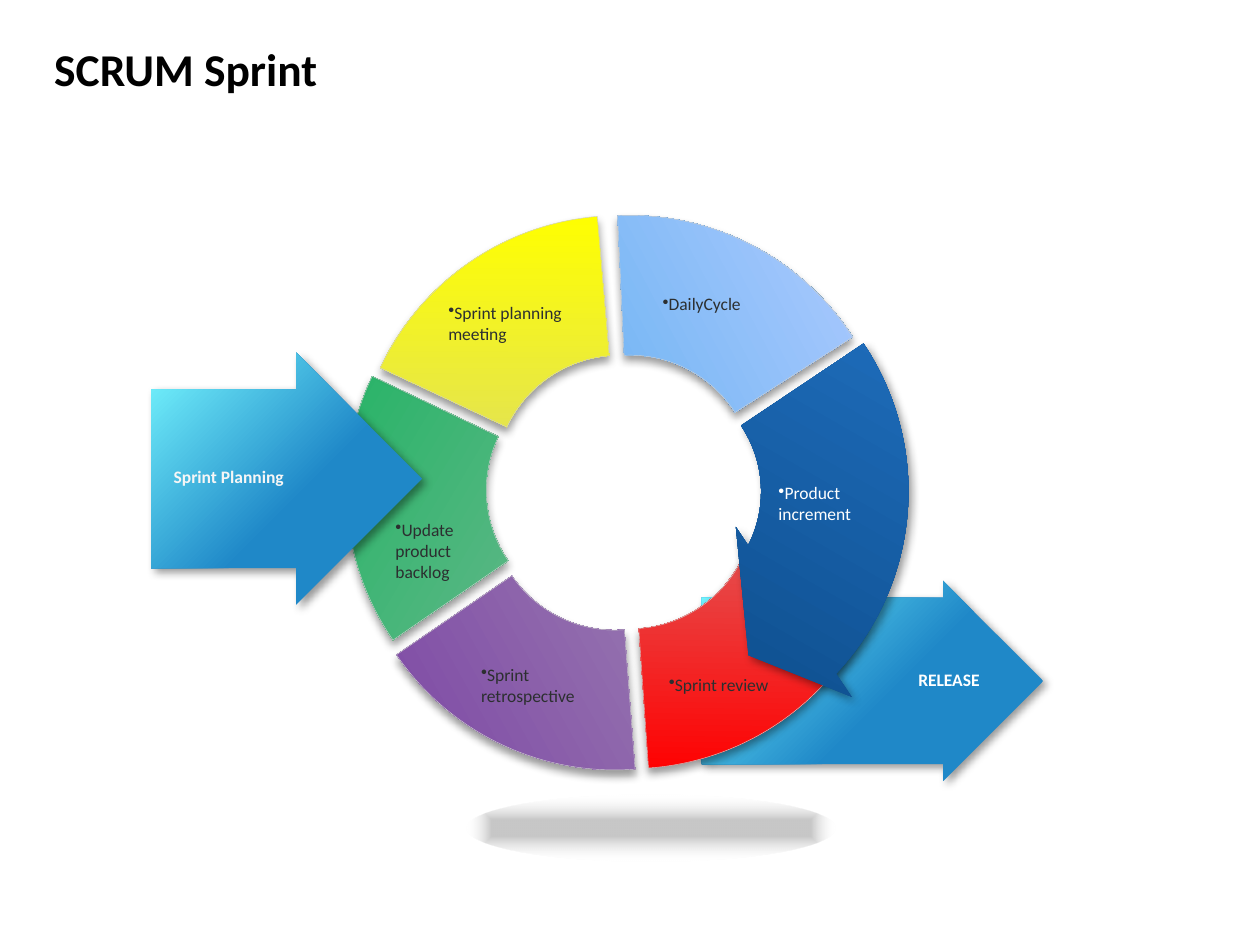
"""Build the SCRUM Sprint cycle slide."""
import math

import pptx
import pptx.dml.color
import pptx.enum.shapes
import pptx.enum.text
import pptx.oxml
import pptx.oxml.ns
import pptx.util

Inches = pptx.util.Inches
RGBColor = pptx.dml.color.RGBColor
SHAPES = pptx.enum.shapes.MSO_SHAPE
qn = pptx.oxml.ns.qn
NAMESPACE = pptx.oxml.ns.nsdecls("a")

COLORS = {
    "black": "000000", "white": "FFFFFF", "ink": "2C2F30", "pale": "F6F6F6",
    "outline": "CFCFCF", "gray": "BFBFBF", "arrow": "1F88C8", "cyan": "78F8FF",
    "red": "FF0000", "purple": "7030A0", "green": "00B050", "yellow": "FFFF00",
    "deep": "0C4F8E", "sky": "77B7F4", "soft sky": "B1CBFF",
    "navy": "0F5090", "blue": "2070C0",
}


def style(shape, stops, direction, shadow_angle=None):
    """Give a shape a gradient and, with an angle, a soft shadow."""
    shape.line.fill.background()
    shape.fill.background()
    shape.shadow.inherit = False
    stop_xml = "".join(
        f'<a:gs pos="{position * 1000}"><a:srgbClr val="{COLORS[color]}">'
        f'<a:alpha val="{opacity * 1000}"/></a:srgbClr></a:gs>'
        for position, color, opacity in stops)
    if direction is None:
        course = ('<a:path path="shape"><a:fillToRect l="50000" t="50000" '
                  'r="50000" b="50000"/></a:path>')
    else:
        course = f'<a:lin ang="{direction * 60000}" scaled="0"/>'
    gradient = pptx.oxml.parse_xml(
        f'<a:gradFill {NAMESPACE} rotWithShape="1"><a:gsLst>{stop_xml}</a:gsLst>{course}</a:gradFill>')
    properties = shape._element.spPr
    properties.replace(properties.find(qn("a:noFill")), gradient)
    if shadow_angle is not None:
        properties.find(qn("a:effectLst")).append(pptx.oxml.parse_xml(
            f'<a:outerShdw {NAMESPACE} blurRad="{pptx.util.Pt(5)}" dist="{pptx.util.Pt(3)}" '
            f'dir="{shadow_angle * 60000}" algn="ctr" rotWithShape="0">'
            f'<a:srgbClr val="{COLORS["black"]}"><a:alpha val="40000"/></a:srgbClr></a:outerShdw>'))


def arc(radius, start, end):
    """Return the four Bezier points of an arc around the origin."""
    first, last = math.radians(start), math.radians(end)
    pull = 4 / 3 * math.tan((last - first) / 4)
    corners = [(radius * math.cos(angle), radius * math.sin(angle)) for angle in (first, last)]
    (x1, y1), (x2, y2) = corners
    return [(x1, y1), (x1 - pull * y1, y1 + pull * x1), (x2 + pull * y2, y2 - pull * x2), (x2, y2)]


deck = pptx.Presentation()
deck.slide_width, deck.slide_height = Inches(10), Inches(7.5)
page = deck.slides.add_slide(deck.slide_layouts[6])

floor_shadow = page.shapes.add_shape(
    SHAPES.OVAL, Inches(3.7), Inches(6.31), Inches(2.93), Inches(0.53))
style(floor_shadow, [(24, "black", 22), (100, "white", 0)], None)

sky_stops = [(14, "deep", 100), (53, "sky", 100), (86, "soft sky", 100)]
cycle_stops = [(39, "navy", 100), (80, "blue", 100)]
pieces = [
    ("arrow", (5.57, 4.61, 2.71, 1.59), 0.83),
    ("wedge", (5, 4), 26, 180.7, [(0, "red", 100), (100, "gray", 100)], 90),
    ("wedge", (4.88, 4.01), 85.6, 240.8, [(0, "purple", 100), (100, "gray", 100)], 90),
    ("wedge", (4.85, 3.89), 145.5, 300.6, [(0, "green", 100), (100, "gray", 100)], 90),
    ("wedge", (4.92, 3.81), 205.1, 0.2, [(0, "yellow", 100), (100, "gray", 100)], 90),
    ("wedge", (5, 3.81), 267.3, 62.2, sky_stops, 270),
    ("cycle", (5.1, 3.95), -33.8, 236.9, cycle_stops, 63),
    ("arrow", (1.2, 2.8, 2.15, 2), 0.71),
]
for kind, place, *details in pieces:
    if kind == "arrow":
        block = page.shapes.add_shape(SHAPES.RIGHT_ARROW, *map(Inches, place))
        block.adjustments[0] = details[0]
        style(block, [(0, "arrow", 100), (44, "arrow", 100), (100, "cyan", 100)], 225, 45)
        continue
    start, turn, stops, direction = details
    if kind == "wedge":
        half, drop, head = 2.1, 0, []
        outer, inner = arc(2.1, start, start + 60), arc(0.99, start + 60, start)
    else:
        half, drop, head = 2.32, -0.05, [(1.66, 1.63), (0.84, 1.3), (0.74, 0.28)]
        outer, inner = arc(2.11, start, 43.3), arc(0.94, 27, start)
    left, top = (Inches(value - half) for value in place)
    side = Inches(2 * half)
    builder = page.shapes.build_freeform(left, top)
    builder.add_line_segments(
        [(left + side, top), (left + side, top + side), (left, top + side)], close=True)
    block = builder.convert_to_shape()
    cosine, sine = math.cos(math.radians(turn)), math.sin(math.radians(turn))
    marks = [
        f'<a:pt x="{Inches(half + x * cosine + (y + drop) * sine)}" '
        f'y="{Inches(half + (y + drop) * cosine - x * sine)}"/>'
        for x, y in outer + head + inner]
    steps = [("moveTo", marks[:1]), ("cubicBezTo", marks[1:4])]
    steps += [("lnTo", [mark]) for mark in marks[4:-3]] + [("cubicBezTo", marks[-3:])]
    drawing = "".join(f'<a:{step}>{"".join(ends)}</a:{step}>' for step, ends in steps)
    outline = next(block._element.iter(qn("a:path")))
    outline.getparent().replace(outline, pptx.oxml.parse_xml(
        f'<a:path {NAMESPACE} w="{side}" h="{side}">{drawing}<a:close/></a:path>'))
    block.rotation = turn
    style(block, stops, direction, 90 if kind == "wedge" else 45)
    if kind == "wedge":
        block.line.color.rgb = RGBColor.from_string(COLORS["outline"])
        block.line.width = pptx.util.Pt(0.25)

labels = [
    ("Sprint planning meeting", (3.46, 2.35, 1.32, 0.44), "ink", False),
    ("DailyCycle", (5.16, 2.28, 1.08, 0.27), "ink", False),
    ("Product increment", (6.08, 3.78, 1.08, 0.44), "white", False),
    ("Sprint review", (5.21, 5.3, 1.03, 0.27), "ink", False),
    ("Sprint retrospective", (3.72, 5.22, 1.03, 0.44), "ink", False),
    ("Update product backlog", (3.04, 4.07, 1.03, 0.61), "ink", False),
    ("Sprint Planning", (1.28, 3.65, 1.52, 0.27), "pale", True),
    ("RELEASE", (7.19, 5.26, 0.77, 0.27), "white", True),
    ("SCRUM Sprint", (0.34, 0.21, 9.32, 0.66), "black", True),
]
for words, place, color, bold in labels:
    box = page.shapes.add_textbox(*map(Inches, place))
    frame = box.text_frame
    frame.word_wrap = True
    para = frame.paragraphs[0]
    para.text = words
    if not bold:
        para._p.get_or_add_pPr().append(
            pptx.oxml.parse_xml(f'<a:buChar {NAMESPACE} char="•"/>'))
    para.font.name = "Calibri"
    para.font.bold = bold
    para.font.color.rgb = RGBColor.from_string(COLORS[color])
    if words == "SCRUM Sprint":
        para.font.size = pptx.util.Pt(26)
        frame.vertical_anchor = pptx.enum.text.MSO_ANCHOR.MIDDLE
        frame.margin_left, frame.margin_right = Inches(0.09), 0
    else:
        para.font.size = pptx.util.Pt(10)
        frame.auto_size = pptx.enum.text.MSO_AUTO_SIZE.SHAPE_TO_FIT_TEXT

deck.save("out.pptx")
